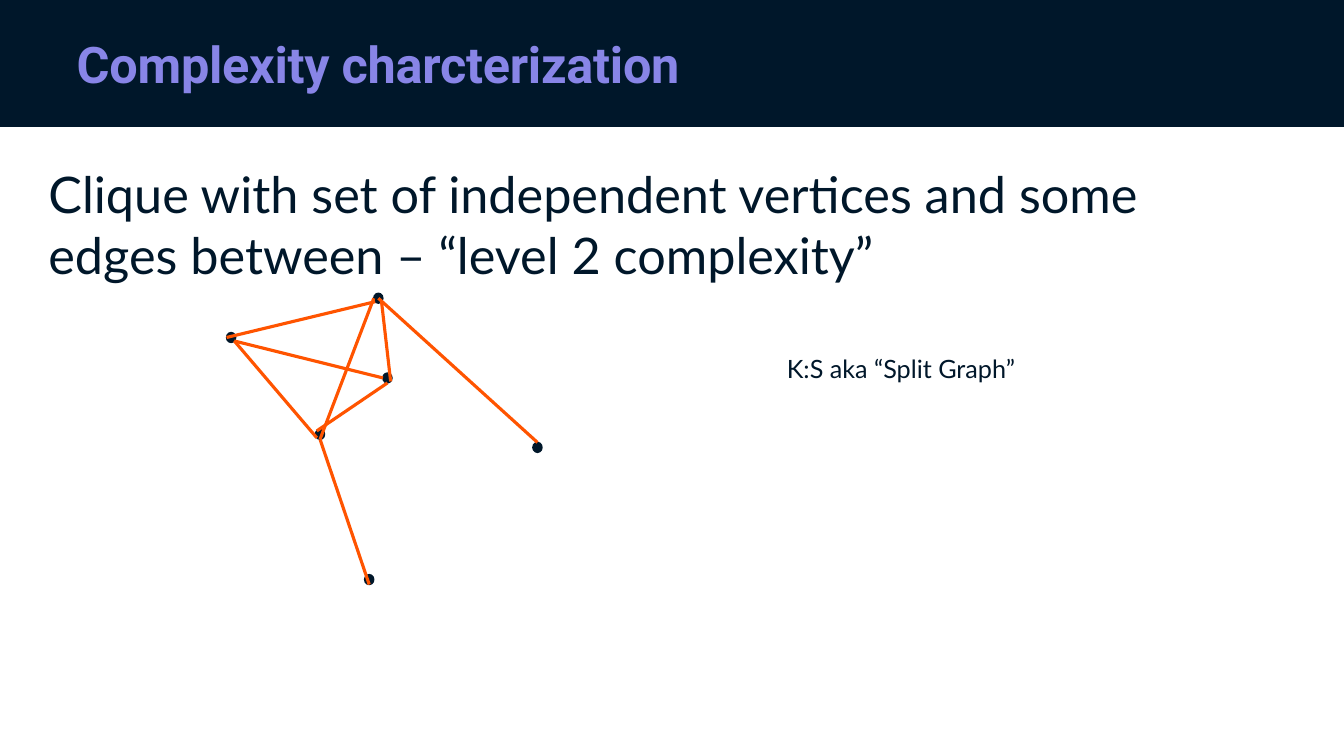
from pptx import Presentation
from pptx.dml.color import RGBColor
from pptx.enum.shapes import MSO_CONNECTOR as Connector, MSO_SHAPE as Shape
from pptx.enum.text import MSO_ANCHOR as Anchor, MSO_AUTO_SIZE as AutoSize, PP_ALIGN as Align
from pptx.oxml.ns import qn
from pptx.util import Cm, Pt
from lxml import etree

NAVY = RGBColor(0x00, 0x17, 0x2A)
VIOLET = RGBColor(0x88, 0x85, 0xE7)
ORANGE = RGBColor(0xFF, 0x54, 0x00)

SLIDE_WIDTH, SLIDE_HEIGHT = 33.87, 19.05
HEADER_BOX = (0, 0, SLIDE_WIDTH, 3.2)
STATEMENT_BOX = (0.97, 3.99, 31.01, 3.33)
GRAPH_ORIGIN = (5.71, 7.39)
NOTE_BOX = (19.58, 8.79, 10.08, 1.02)

TITLE_FORMAT = {"name": "Roboto", "size": Pt(36), "bold": True}
STATEMENT_FORMAT = {"name": "Lato", "size": Pt(36)}
NOTE_FORMAT = {"name": "Lato", "size": Pt(18)}

VERTEX_WIDTH, VERTEX_HEIGHT = 0.23, 0.25
VERTICES = {
    "west": (0, 0.99),
    "north": (3.71, 0),
    "south": (2.24, 3.43),
    "east": (3.94, 2.01),
    "bottom leaf": (3.48, 7.09),
    "right leaf": (7.72, 3.76),
}
# Points of a vertex as fractions of its width and height
SITES = {
    "centre": (0.5, 0.5),
    "top": (0.5, 0),
    "left": (0, 0.5),
    "bottom": (0.5, 1),
    "upper left": (0.15, 0.15),
    "lower left": (0.15, 0.85),
    "lower right": (0.85, 0.85),
}
EDGES = [
    ("west", "left", "north", "lower left"),
    ("west", "lower right", "east", "left"),
    ("north", "left", "south", "bottom"),
    ("west", "lower right", "south", "lower left"),
    ("south", "upper left", "east", "bottom"),
    ("east", "lower right", "north", "lower right"),
    ("south", "bottom", "bottom leaf", "bottom"),
    ("north", "centre", "right leaf", "top"),
]


def write_text(frame, text, font_format, color):
    frame.word_wrap = True
    para = frame.paragraphs[0]
    para.alignment = Align.LEFT
    span = para.add_run()
    span.text = text
    for name, value in font_format.items():
        setattr(span.font, name, value)
    span.font.color.rgb = color
    return span


def add_header(slide, box, text):
    """Fill the box with the dark band and place the title on it."""
    left, top, width, height = box
    band = slide.shapes.add_shape(Shape.RECTANGLE, *map(Cm, box))
    band.shadow.inherit = False
    band.fill.solid()
    band.fill.fore_color.rgb = NAVY
    band.line.fill.background()

    title = slide.shapes.title
    title.element.addprevious(band.element)
    title.left, title.top = Cm(left + 1.68), Cm(top + 0.53)
    title.width, title.height = Cm(width - 7.71), Cm(height - 1.07)
    title.text_frame.vertical_anchor = Anchor.MIDDLE
    title.text_frame.auto_size = AutoSize.NONE
    span = write_text(title.text_frame, text, TITLE_FORMAT, VIOLET)
    span.font._element.set("spc", "-20")


def add_text(slide, box, text, font_format):
    frame = slide.shapes.add_textbox(*map(Cm, box)).text_frame
    frame.auto_size = AutoSize.SHAPE_TO_FIT_TEXT
    write_text(frame, text, font_format, NAVY)


def add_vertex(slide, left, top):
    vertex = slide.shapes.add_shape(
        Shape.OVAL, Cm(left), Cm(top), Cm(VERTEX_WIDTH), Cm(VERTEX_HEIGHT))
    vertex.shadow.inherit = False
    vertex.fill.solid()
    vertex.fill.fore_color.rgb = NAVY
    vertex.line.color.rgb = NAVY
    vertex.line.width = Pt(1)


def add_edge(slide, start, end):
    edge = slide.shapes.add_connector(
        Connector.STRAIGHT, *map(Cm, start), *map(Cm, end))
    edge.line.color.rgb = ORANGE
    edge.line.width = Pt(2.25)
    etree.SubElement(edge.element.spPr, qn("a:effectLst"))


def add_graph(slide, origin):
    """Draw the clique and its two leaves, measured from the origin."""
    left, top = origin

    def locate(vertex, site):
        x, y = VERTICES[vertex]
        across, down = SITES[site]
        return left + x + across * VERTEX_WIDTH, top + y + down * VERTEX_HEIGHT

    for x, y in VERTICES.values():
        add_vertex(slide, left + x, top + y)
    for start, start_site, end, end_site in EDGES:
        add_edge(slide, locate(start, start_site), locate(end, end_site))


def main():
    deck = Presentation()
    deck.slide_width, deck.slide_height = Cm(SLIDE_WIDTH), Cm(SLIDE_HEIGHT)
    slide = deck.slides.add_slide(deck.slide_layouts.get_by_name("Title Only"))
    add_header(slide, HEADER_BOX, "Complexity charcterization")
    add_text(slide, STATEMENT_BOX,
             "Clique with set of independent vertices and some edges between – “level 2 complexity”",
             STATEMENT_FORMAT)
    add_graph(slide, GRAPH_ORIGIN)
    add_text(slide, NOTE_BOX, "K:S aka “Split Graph”", NOTE_FORMAT)
    deck.save("out.pptx")


if __name__ == "__main__":
    main()
